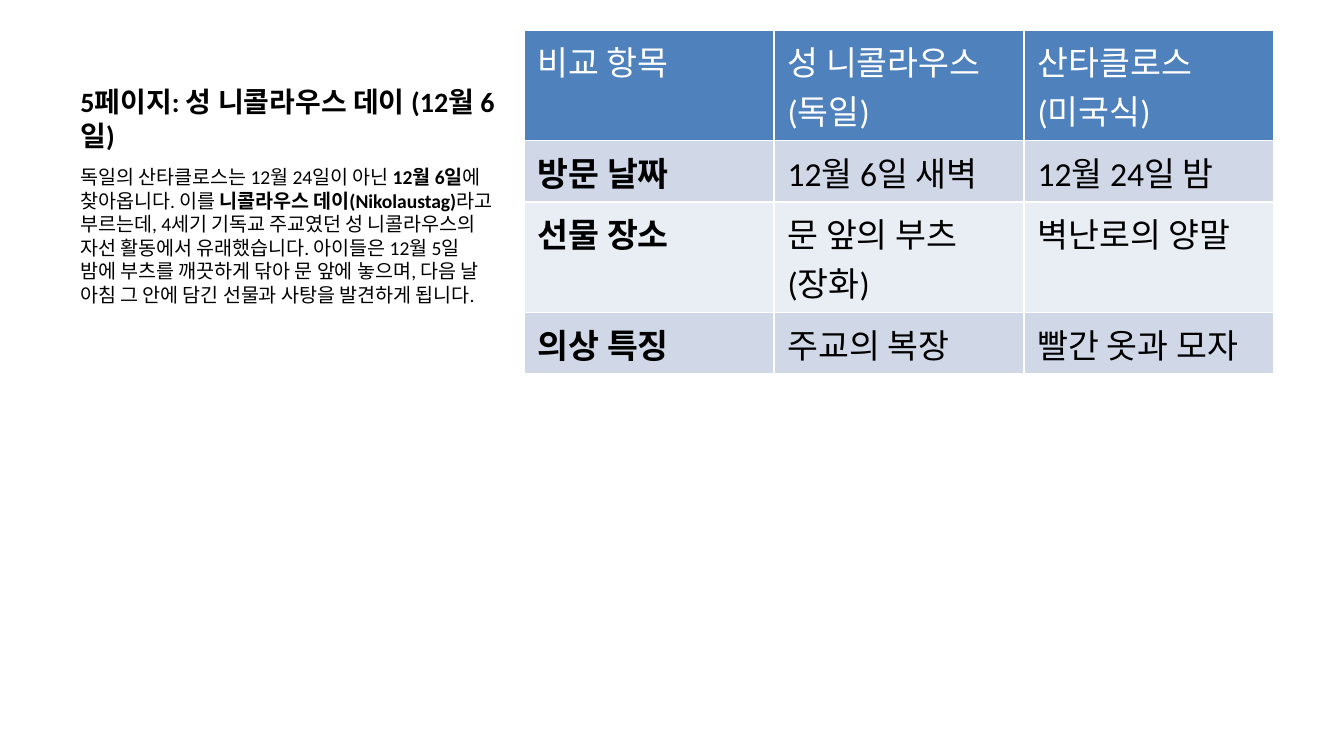
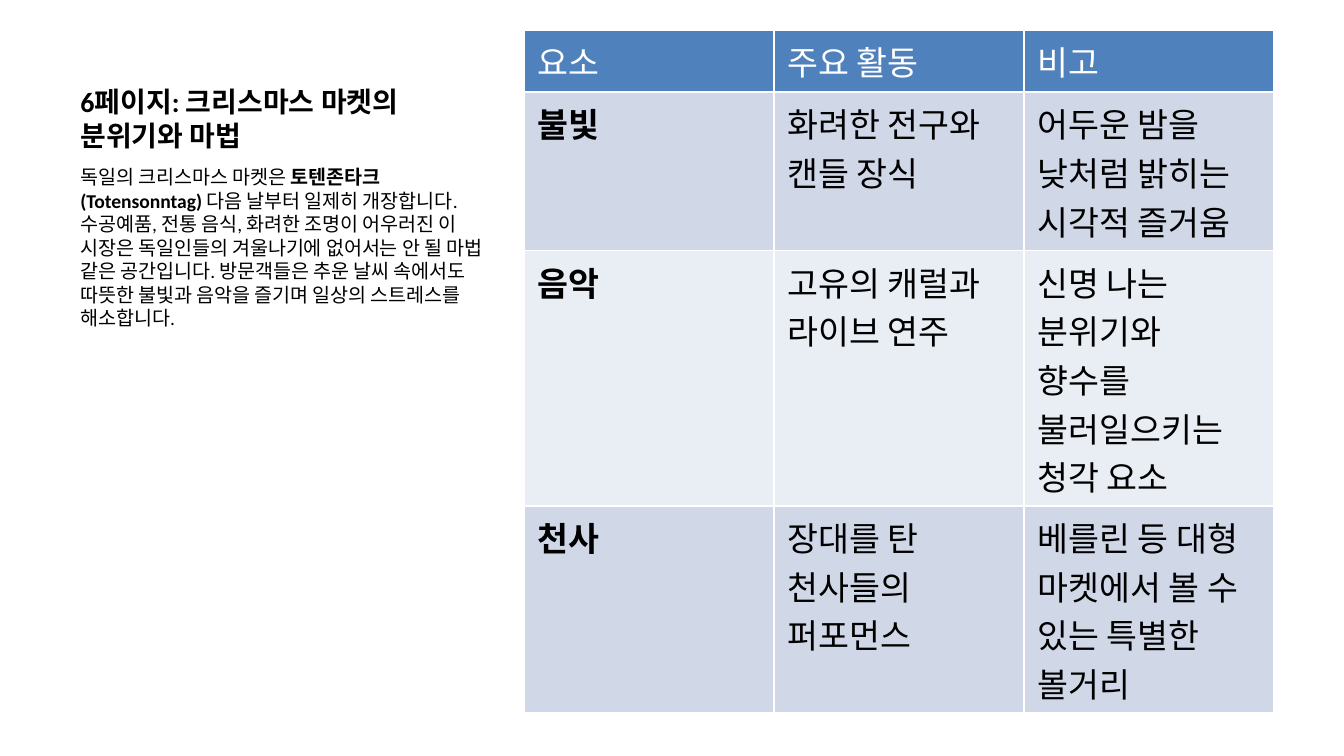
from lxml.etree import SubElement
from pptx import Presentation
from pptx.dml.color import RGBColor
from pptx.enum.text import MSO_ANCHOR
from pptx.oxml.ns import qn
from pptx.util import Inches, Pt

WIDE = Inches(10)
HIGH = WIDE * 9 // 16
LEFT, TOP = 0.05, 0.04
SIDE, HEAD, BODY = 0.329, 0.17, 0.685
GRID, SPAN, TALL = 0.39, 0.558, 0.852
PAD, LINE = 0.1, 0.36
COLORS = {"ink": "000000", "white": "FFFFFF", "blue": "4F81BD",
          "dark": "D0D8E8", "light": "E9EDF4"}
TITLE = {"size": Pt(15), "name": "Calibri", "bold": True}
TEXT = {"size": Pt(10.5), "name": "Calibri", "bold": False}
STRONG = {**TEXT, "bold": True}
CELL = {"size": Pt(18), "name": "Calibri", "bold": False}
LABEL = {**CELL, "bold": True}

PAGES = [
    {
        "title": "5페이지: 성 니콜라우스 데이 (12월 6일)",
        "body": [
            ("독일의 산타클로스는 12월 24일이 아닌 ", TEXT),
            ("12월 6일", STRONG),
            ("에 찾아옵니다. 이를 ", TEXT),
            ("니콜라우스 데이(Nikolaustag)", STRONG),
            ("라고 부르는데, 4세기 기독교 주교였던 성 니콜라우스의 자선 활동에서 "
             "유래했습니다. 아이들은 12월 5일 밤에 부츠를 깨끗하게 닦아 문 앞에 놓으며, "
             "다음 날 아침 그 안에 담긴 선물과 사탕을 발견하게 됩니다.", TEXT),
        ],
        "lines": (2, 1, 2, 1),
        "rows": [
            ("비교 항목", "성 니콜라우스 (독일)", "산타클로스 (미국식)"),
            ("방문 날짜", "12월 6일 새벽", "12월 24일 밤"),
            ("선물 장소", "문 앞의 부츠(장화)", "벽난로의 양말"),
            ("의상 특징", "주교의 복장", "빨간 옷과 모자"),
        ],
    },
    {
        "title": "6페이지: 크리스마스 마켓의 분위기와 마법",
        "body": [
            ("독일의 크리스마스 마켓은 ", TEXT),
            ("토텐존타크(Totensonntag)", STRONG),
            (" 다음 날부터 일제히 개장합니다. 수공예품, 전통 음식, 화려한 조명이 "
             "어우러진 이 시장은 독일인들의 겨울나기에 없어서는 안 될 마법 같은 "
             "공간입니다. 방문객들은 추운 날씨 속에서도 따뜻한 불빛과 음악을 즐기며 "
             "일상의 스트레스를 해소합니다.", TEXT),
        ],
        "lines": (1, 3, 5, 4),
        "rows": [
            ("요소", "주요 활동", "비고"),
            ("불빛", "화려한 전구와 캔들 장식", "어두운 밤을 낮처럼 밝히는 시각적 즐거움"),
            ("음악", "고유의 캐럴과 라이브 연주",
             "신명 나는 분위기와 향수를 불러일으키는 청각 요소"),
            ("천사", "장대를 탄 천사들의 퍼포먼스",
             "베를린 등 대형 마켓에서 볼 수 있는 특별한 볼거리"),
        ],
    },
]


def place(x, y, w, h):
    return int(x * WIDE), int(y * HIGH), int(w * WIDE), int(h * HIGH)


def color(key):
    return RGBColor.from_string(COLORS[key])


def write(para, text, style, ink="ink"):
    run = para.add_run()
    run.text = text
    for name, value in style.items():
        setattr(run.font, name, value)
    run.font.color.rgb = color(ink)


def add_text(slide, box, parts, anchor, gap=0):
    frame = slide.shapes.add_textbox(*place(*box)).text_frame
    frame.word_wrap = True
    frame.vertical_anchor = anchor
    para = frame.paragraphs[0]
    para.space_before = Pt(gap)
    for text, style in parts:
        write(para, text, style)


def edge(cell):
    props = cell._tc.get_or_add_tcPr()
    for side in "LRTB":
        line = SubElement(props, qn(f"a:ln{side}"), w=str(Pt(1)))
        fill = SubElement(line, qn("a:solidFill"))
        SubElement(fill, qn("a:srgbClr"), val=COLORS["white"])


def add_grid(slide, rows, lines):
    box = place(GRID, TOP, SPAN, TALL)
    frame = slide.shapes.add_table(len(rows), len(rows[0]), *box)
    table = frame.table
    table.first_row = table.horz_banding = False
    for r, (row, count) in enumerate(zip(rows, lines)):
        head = r == 0
        shade = "blue" if head else "dark" if r % 2 else "light"
        table.rows[r].height = Inches(PAD + LINE * count)
        for c, text in enumerate(row):
            cell = table.cell(r, c)
            edge(cell)
            cell.fill.solid()
            cell.fill.fore_color.rgb = color(shade)
            style = LABEL if c == 0 and not head else CELL
            write(cell.text_frame.paragraphs[0], text, style,
                  "white" if head else "ink")
    frame.height = box[3]


def add_page(deck, page):
    slide = deck.slides.add_slide(deck.slide_layouts[6])
    add_text(slide, (LEFT, TOP, SIDE, HEAD), [(page["title"], TITLE)],
             MSO_ANCHOR.BOTTOM)
    add_text(slide, (LEFT, TOP + HEAD, SIDE, BODY), page["body"],
             MSO_ANCHOR.TOP, 2.1)
    add_grid(slide, page["rows"], page["lines"])


def main():
    deck = Presentation()
    deck.slide_width, deck.slide_height = WIDE, HIGH
    for page in PAGES:
        add_page(deck, page)
    deck.save("out.pptx")


if __name__ == "__main__":
    main()
